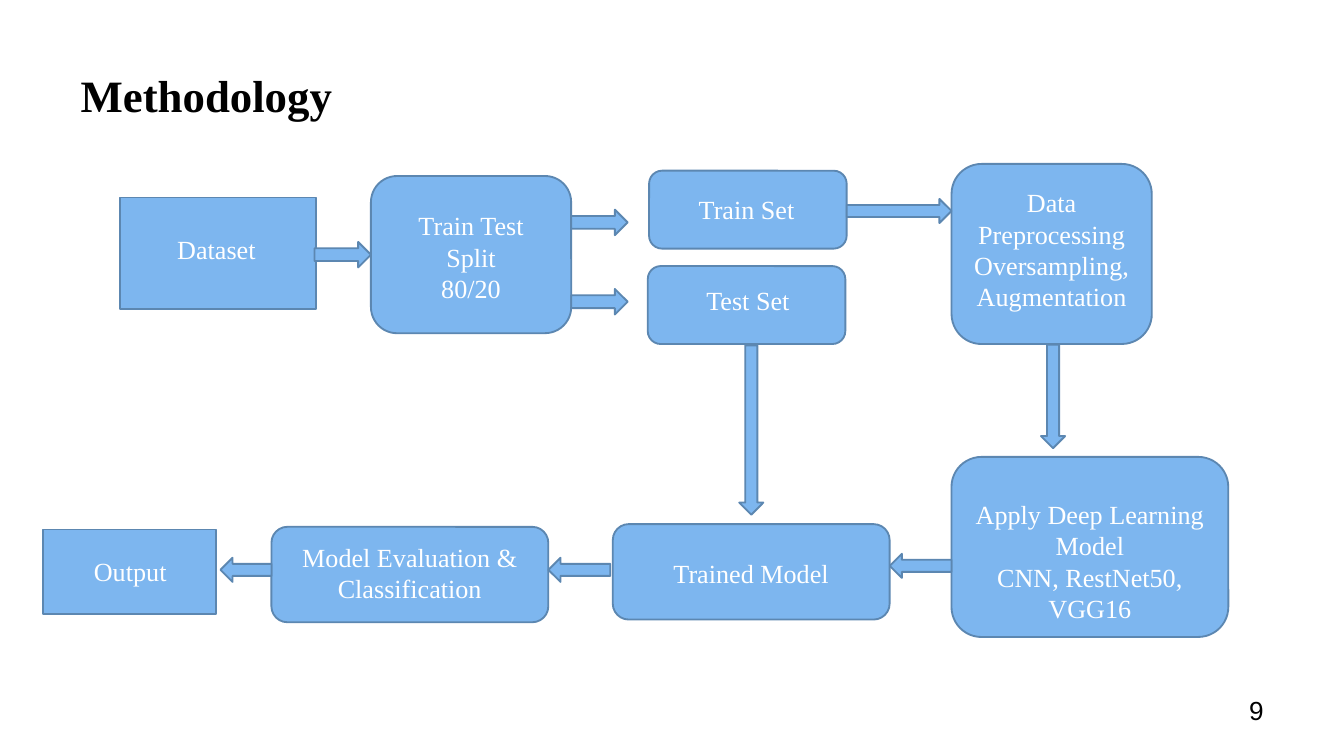
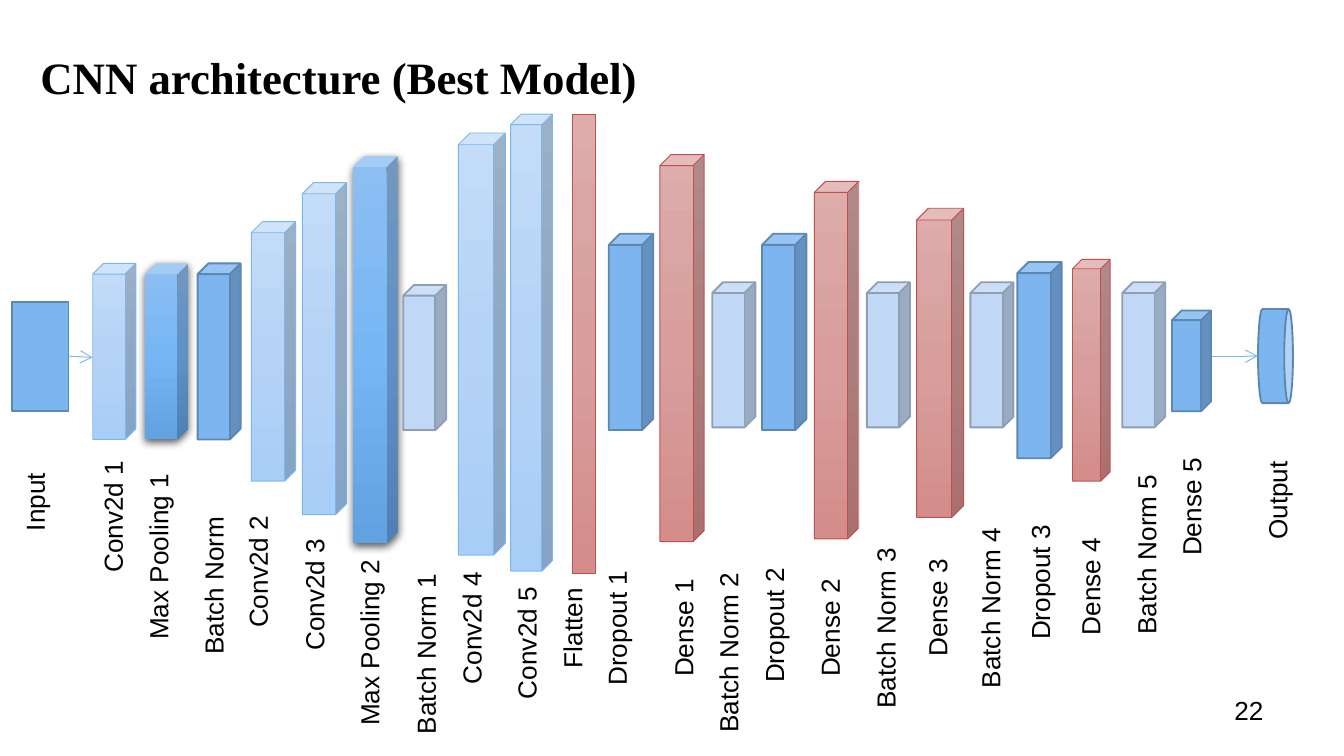
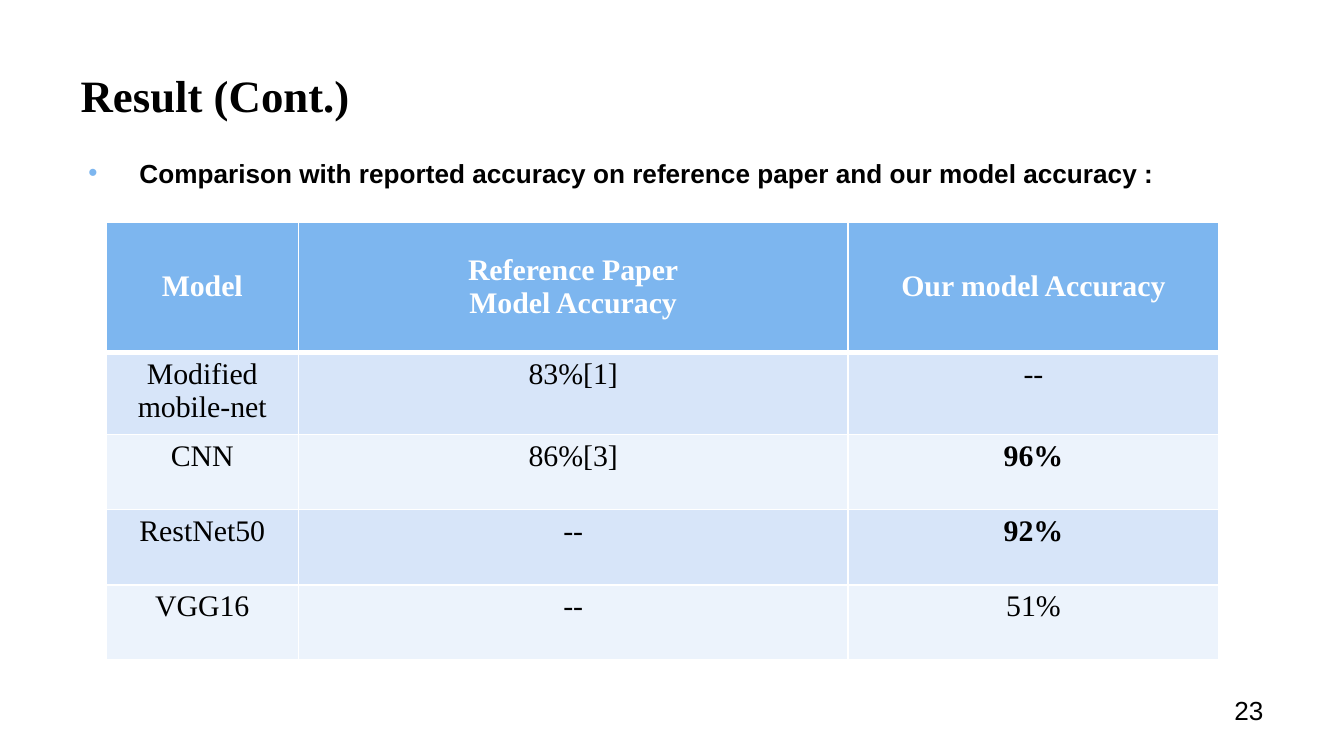
"""Build three slides on the method, network and results of an image classifier."""
from copy import deepcopy

from lxml.etree import SubElement
from pptx import Presentation
from pptx.dml.color import RGBColor
from pptx.enum.shapes import MSO_CONNECTOR, MSO_SHAPE
from pptx.enum.text import MSO_ANCHOR, MSO_AUTO_SIZE, PP_ALIGN
from pptx.oxml.ns import qn
from pptx.util import Inches, Pt

SERIF, SANS = "Times New Roman", "Arial"
BLACK, WHITE = "000000", "FFFFFF"
BLUE, BLUE_EDGE = "7DB6EF", "5C87B1"
BAND_COLORS = ("D7E5F9", "ECF3FC")
TITLE_PLACE = (0.5, 0.23, 9, 0.94)

LAYER_STYLES = {
    "conv": (("C4DCF8", "B5D3F6", "A8CDF7"), BLUE, 0.5),
    "pool": (("8EBFF2", "77B6F5", "63A2E1"), None, 0),
    "plain": (BLUE, BLUE_EDGE, 1),
    "norm": ("C0D7F5", "8E9FB5", 1),
    "dense": (("DDACAB", "D79E9D", "D48D8B"), "C0504D", 0.5),
}
LABEL_WIDTHS = {"Conv2d #": 1.04, "Max Pooling #": 1.44, "Batch Norm": 1.24, "Batch Norm #": 1.4,
                "Dropout #": 1.06, "Dense #": 0.93, "Flatten": 0.8, "Input": 0.64, "Output": 0.79}

FLOW_STEPS = [
    ("Dataset", MSO_SHAPE.RECTANGLE, (0.89, 1.47, 1.46, 0.83), (1.22, 1.69, 0.79, 0.34)),
    ("Train Test\nSplit\n80/20", MSO_SHAPE.ROUNDED_RECTANGLE,
     (2.76, 1.31, 1.49, 1.17), (2.93, 1.51, 1.15, 0.81)),
    ("Train Set", MSO_SHAPE.ROUNDED_RECTANGLE, (4.83, 1.27, 1.47, 0.58), (4.98, 1.39, 1.15, 0.34)),
    ("Test Set", MSO_SHAPE.ROUNDED_RECTANGLE, (4.82, 1.98, 1.47, 0.58), (4.99, 2.07, 1.15, 0.34)),
    ("Data Preprocessing\nOversampling,\nAugmentation", MSO_SHAPE.ROUNDED_RECTANGLE,
     (7.08, 1.22, 1.49, 1.34), (7.08, 1.34, 1.49, 1.04)),
    ("Apply Deep Learning\nModel\nCNN, RestNet50, VGG16", MSO_SHAPE.ROUNDED_RECTANGLE,
     (7.08, 3.4, 2.06, 1.34), (7.08, 3.66, 2.06, 1.04)),
    ("Trained Model", MSO_SHAPE.ROUNDED_RECTANGLE, (4.56, 3.9, 2.06, 0.71), (4.56, 4.1, 2.06, 0.34)),
    ("Model Evaluation & Classification", MSO_SHAPE.ROUNDED_RECTANGLE,
     (2.02, 3.92, 2.06, 0.71), (2.02, 3.98, 2.06, 0.57)),
    ("Output", MSO_SHAPE.RECTANGLE, (0.32, 3.94, 1.29, 0.63), (0.6, 4.08, 0.75, 0.34)),
]
FLOW_ARROWS = [
    ((2.34, 1.8, 0.42, 0.19), 0),
    ((4.25, 1.56, 0.42, 0.19), 0),
    ((4.25, 2.15, 0.42, 0.19), 0),
    ((6.3, 1.48, 0.78, 0.18), 0),
    ((4.96, 3.11, 1.26, 0.18), 90),
    ((7.45, 2.86, 0.77, 0.18), 90),
    ((6.62, 4.12, 0.46, 0.18), 180),
    ((4.08, 4.15, 0.46, 0.18), 180),
    ((1.64, 4.15, 0.38, 0.18), 180),
]
LAYERS = [
    ("Conv2d 1", "conv", (0.69, 1.96, 0.32, 1.31), (0.32, 3.67)),
    ("Max Pooling 1", "pool", (1.08, 1.96, 0.32, 1.31), (0.46, 3.97)),
    ("Batch Norm", "plain", (1.47, 1.96, 0.32, 1.31), (0.97, 4.18)),
    ("Conv2d 2", "conv", (1.87, 1.65, 0.33, 1.93), (1.4, 4.08)),
    ("Conv2d 3", "conv", (2.25, 1.36, 0.33, 2.47), (1.82, 4.25)),
    ("Max Pooling 2", "pool", (2.63, 1.16, 0.33, 2.88), (2.03, 4.61)),
    ("Batch Norm 1", "norm", (3, 2.12, 0.32, 1.08), (2.47, 4.69)),
    ("Conv2d 4", "conv", (3.41, 0.99, 0.35, 3.14), (2.99, 4.5)),
    ("Conv2d 5", "conv", (3.8, 0.85, 0.31, 3.4), (3.4, 4.61)),
    ("Flatten", "dense", (4.26, 0.85, 0.17, 3.42), (3.86, 4.5)),
    ("Dropout 1", "plain", (4.53, 1.74, 0.33, 1.46), (4.06, 4.5)),
    ("Dense 1", "dense", (4.91, 1.15, 0.33, 2.88), (4.62, 4.5)),
    ("Batch Norm 2", "norm", (5.3, 2.1, 0.32, 1.08), (4.72, 4.68)),
    ("Dropout 2", "plain", (5.67, 1.74, 0.33, 1.46), (5.23, 4.48)),
    ("Dense 2", "dense", (6.06, 1.35, 0.33, 2.66), (5.71, 4.5)),
    ("Batch Norm 3", "norm", (6.45, 2.1, 0.32, 1.08), (5.89, 4.5)),
    ("Dense 3", "dense", (6.82, 1.55, 0.35, 2.3), (6.51, 4.35)),
    ("Batch Norm 4", "norm", (7.22, 2.1, 0.32, 1.08), (6.67, 4.35)),
    ("Dropout 3", "plain", (7.57, 1.95, 0.33, 1.46), (7.21, 4.16)),
    ("Dense 4", "dense", (7.98, 1.93, 0.28, 1.65), (7.65, 4.19)),
    ("Batch Norm 5", "norm", (8.35, 2.1, 0.32, 1.08), (7.83, 3.95)),
    ("Dense 5", "plain", (8.72, 2.31, 0.29, 0.75), (8.4, 3.6)),
]
RESULTS = [
    ("Model", "Reference Paper\nModel Accuracy", "Our model Accuracy"),
    ("Modified mobile-net", "83%[1]", "--"),
    ("CNN", "86%[3]", "96%"),
    ("RestNet50", "--", "92%"),
    ("VGG16", "--", "51%"),
]
BEST_SCORES = ("96%", "92%")


def rgb(color):
    """Turn a hex string into a colour."""
    return RGBColor.from_string(color)


def inches(place):
    """Turn a row of numbers into lengths."""
    return [Inches(number) for number in place]


def write(text_frame, text, size, font, color, align=PP_ALIGN.LEFT, bold=False):
    """Fill a text frame, one paragraph for each line of text."""
    text_frame.text = text
    for paragraph in text_frame.paragraphs:
        paragraph.alignment = align
        paragraph.font.size = Pt(size)
        paragraph.font.name = font
        paragraph.font.bold = bold
        paragraph.font.color.rgb = rgb(color)


def add_text(slide, place, text, font=SANS, color=BLACK, align=PP_ALIGN.LEFT, bold=False, wrap=True):
    """Add a text box in the body size."""
    box = slide.shapes.add_textbox(*inches(place))
    box.text_frame.word_wrap = wrap
    if not wrap:
        box.text_frame.auto_size = MSO_AUTO_SIZE.SHAPE_TO_FIT_TEXT
    write(box.text_frame, text, 14, font, color, align, bold)
    return box


def add_titled_slide(presentation, title, number, title_place=TITLE_PLACE):
    """Add a slide with its title and slide number."""
    slide = presentation.slides.add_slide(presentation.slide_layouts[5])
    heading = slide.shapes.title
    heading.left, heading.top, heading.width, heading.height = inches(title_place)
    heading.text_frame.vertical_anchor = MSO_ANCHOR.MIDDLE
    write(heading.text_frame, title, 24, SERIF, BLACK, bold=True)
    add_text(slide, (7.17, 5.12, 2.33, 0.39), str(number), align=PP_ALIGN.RIGHT)
    return slide


def fill_gradient(shape, colors):
    """Fill a shape from top to bottom with evenly spaced colours."""
    shape.fill.gradient()
    shape.fill.gradient_angle = 270
    stop_list = shape.element.find(".//" + qn("a:gsLst"))
    stop_list.insert(1, deepcopy(stop_list[0]))
    for index, (stop, color) in enumerate(zip(shape.fill.gradient_stops, colors)):
        stop.color.rgb = rgb(color)
        stop.position = index / (len(colors) - 1)


def add_drop_shadow(shape):
    """Give a shape a soft shadow below it."""
    effects = shape.element.spPr.find(qn("a:effectLst"))
    shadow = SubElement(effects, qn("a:outerShdw"), blurRad=str(Pt(4.5)), dist=str(Pt(1.5)),
                        dir="5400000", algn="ctr", rotWithShape="0")
    color = SubElement(shadow, qn("a:srgbClr"), val=BLACK)
    SubElement(color, qn("a:alpha"), val="63000")


def add_figure(slide, kind, place, style="plain", rotation=0):
    """Add a preset shape in one of the layer styles."""
    fill, edge, edge_width = LAYER_STYLES[style]
    shape = slide.shapes.add_shape(kind, *inches(place))
    shape.rotation = rotation
    shape.shadow.inherit = False
    if isinstance(fill, tuple):
        fill_gradient(shape, fill)
    else:
        shape.fill.solid()
        shape.fill.fore_color.rgb = rgb(fill)
    if edge:
        shape.line.color.rgb = rgb(edge)
        shape.line.width = Pt(edge_width)
    else:
        shape.line.fill.background()
        add_drop_shadow(shape)


def add_upright_label(slide, text, corner):
    """Add a label that reads from bottom to top."""
    family = text[:-1] + "#" if text[-1].isdigit() else text
    label = add_text(slide, (*corner, LABEL_WIDTHS[family], 0.34), text, wrap=False)
    label.rotation = 270


def add_thin_arrow(slide, start, end):
    """Add a thin line with an open arrowhead at its end."""
    connector = slide.shapes.add_connector(MSO_CONNECTOR.STRAIGHT, *inches(start + end))
    connector.line.color.rgb = rgb(BLUE)
    connector.line.width = Pt(0.5)
    properties = connector.element.spPr
    SubElement(properties.find(qn("a:ln")), qn("a:tailEnd"), type="arrow")
    SubElement(properties, qn("a:effectLst"))


def add_bullet_text(slide, place, text):
    """Add a bold line with a coloured bullet."""
    paragraph = add_text(slide, place, text, bold=True).text_frame.paragraphs[0]
    paragraph.space_before = Pt(10)
    properties = paragraph._p.get_or_add_pPr()
    properties.set("marL", str(Inches(0.38)))
    properties.set("indent", str(Inches(-0.38)))
    default_font = properties.find(qn("a:defRPr"))
    bullet_color = SubElement(properties, qn("a:buClr"))
    SubElement(bullet_color, qn("a:srgbClr"), val=BLUE)
    SubElement(properties, qn("a:buFont"), typeface=SANS)
    SubElement(properties, qn("a:buChar"), char="•")
    if default_font is not None:
        properties.append(default_font)


def add_cell_borders(cell, top, bottom):
    """Draw white cell borders, with the given top and bottom widths in points."""
    properties = cell._tc.get_or_add_tcPr()
    for side, width in (("L", 1), ("R", 1), ("T", top), ("B", bottom)):
        border = SubElement(properties, qn("a:ln" + side), w=str(Pt(width)))
        SubElement(SubElement(border, qn("a:solidFill")), qn("a:srgbClr"), val=WHITE)


def add_results_table(slide, place, column_widths, row_heights):
    """Add the accuracy table with a header and two band colours."""
    table = slide.shapes.add_table(len(RESULTS), len(column_widths), *inches(place)).table
    for column, width in zip(table.columns, column_widths):
        column.width = Inches(width)
    for row_index, values in enumerate(RESULTS):
        header = row_index == 0
        table.rows[row_index].height = Inches(row_heights[row_index])
        for cell, value in zip(table.rows[row_index].cells, values):
            add_cell_borders(cell, 3 if row_index == 1 else 1, 3 if header else 1)
            cell.fill.solid()
            cell.fill.fore_color.rgb = rgb(BLUE if header else BAND_COLORS[(row_index - 1) % 2])
            cell.margin_left = cell.margin_right = Inches(0.08)
            cell.margin_top = cell.margin_bottom = Inches(0.04)
            cell.vertical_anchor = MSO_ANCHOR.MIDDLE if header else MSO_ANCHOR.TOP
            write(cell.text_frame, value, 16, SERIF, WHITE if header else BLACK,
                  PP_ALIGN.CENTER, header or value in BEST_SCORES)


def build_methodology(presentation):
    """Build the flow chart slide."""
    slide = add_titled_slide(presentation, "Methodology", 9)
    for text, kind, place, label_place in FLOW_STEPS:
        add_figure(slide, kind, place)
        wrap = kind == MSO_SHAPE.ROUNDED_RECTANGLE
        add_text(slide, label_place, text, SERIF, WHITE,
                 PP_ALIGN.CENTER if wrap else PP_ALIGN.LEFT, wrap=wrap)
    for place, rotation in FLOW_ARROWS:
        add_figure(slide, MSO_SHAPE.RIGHT_ARROW, place, rotation=rotation)


def build_architecture(presentation):
    """Build the network layer slide."""
    slide = add_titled_slide(presentation, "CNN architecture (Best Model)", 22, (0.2, 0.19, 9, 0.76))
    add_figure(slide, MSO_SHAPE.RECTANGLE, (0.09, 2.25, 0.42, 0.81))
    add_upright_label(slide, "Input", (-0.06, 3.56))
    for name, style, place, corner in LAYERS:
        kind = MSO_SHAPE.RECTANGLE if name == "Flatten" else MSO_SHAPE.CUBE
        add_figure(slide, kind, place, style)
        add_upright_label(slide, name, corner)
    add_figure(slide, MSO_SHAPE.CAN, (9.14, 2.52, 0.7, 0.26), rotation=90)
    add_upright_label(slide, "Output", (9.11, 3.55))
    add_thin_arrow(slide, (0.51, 2.65), (0.69, 2.66))
    add_thin_arrow(slide, (9.02, 2.65), (9.36, 2.65))


def build_results(presentation):
    """Build the accuracy comparison slide."""
    slide = add_titled_slide(presentation, "Result (Cont.)", 23)
    add_results_table(slide, (0.79, 1.65, 8.28, 3.3), (1.43, 4.09, 2.76), [0.97] + [0.56] * 4)
    add_bullet_text(slide, (0.56, 1.12, 9.64, 0.4),
                    "Comparison with reported accuracy on reference paper and our model accuracy :")


def main():
    """Build and save the presentation."""
    presentation = Presentation()
    presentation.slide_width = Inches(10)
    presentation.slide_height = presentation.slide_width * 9 // 16
    build_methodology(presentation)
    build_architecture(presentation)
    build_results(presentation)
    presentation.save("out.pptx")


if __name__ == "__main__":
    main()
